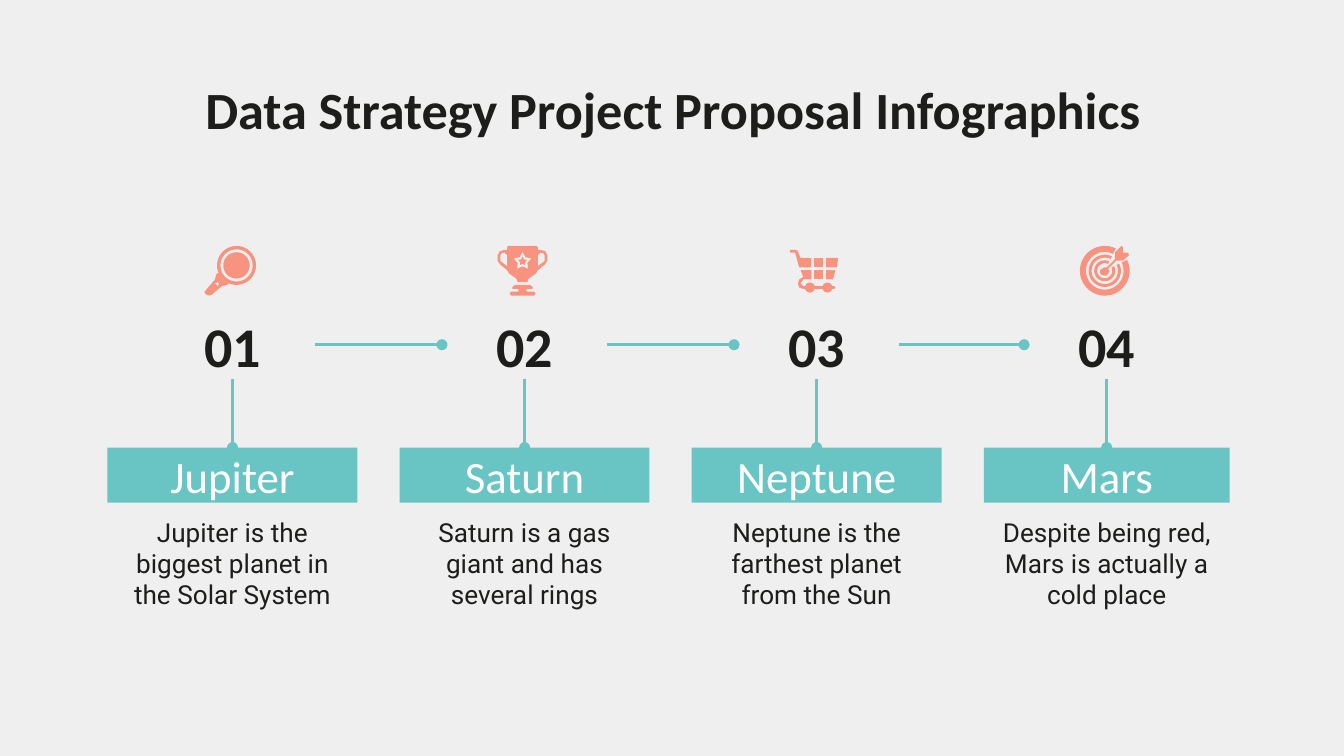
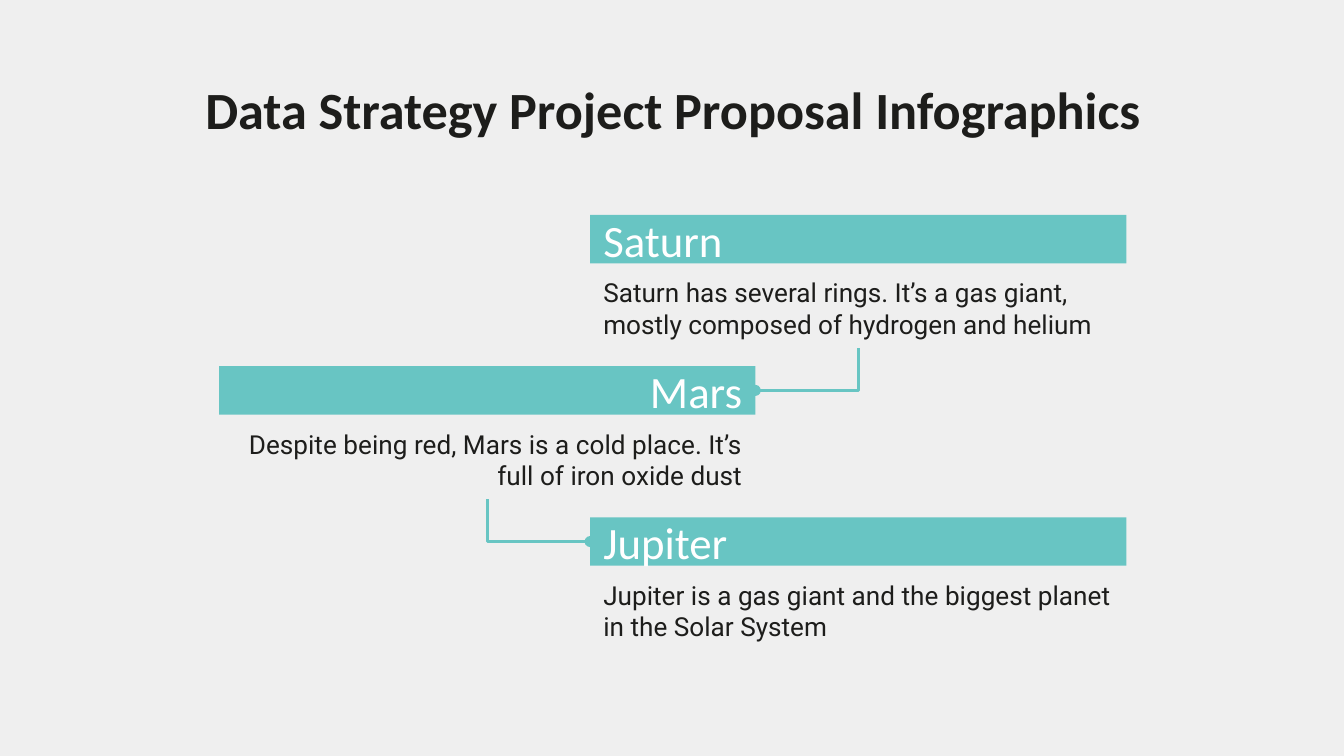
from math import cos, sin, radians

from lxml.etree import SubElement
from pptx import Presentation
from pptx.dml.color import RGBColor
from pptx.enum.shapes import MSO_CONNECTOR, MSO_SHAPE
from pptx.enum.text import MSO_ANCHOR, PP_ALIGN
from pptx.oxml.ns import qn
from pptx.util import Inches, Pt

# Content
TITLE = "Data Strategy Project Proposal Infographics"
STEPS = [
    ("Jupiter", "Jupiter is the biggest planet in the Solar System", "lens"),
    ("Saturn", "Saturn is a gas giant and has several rings", "cup"),
    ("Neptune", "Neptune is the farthest planet from the Sun", "cart"),
    ("Mars", "Despite being red, Mars is actually a cold place", "target"),
]
ROWS = [
    ("Saturn", "Saturn has several rings. It’s a gas giant, "
     "mostly composed of hydrogen and helium", "right"),
    ("Mars", "Despite being red, Mars is a cold place. "
     "It’s full of iron oxide dust", "left"),
    ("Jupiter", "Jupiter is a gas giant and the biggest planet "
     "in the Solar System", "right"),
]

# Shared look
WIDE = 10
HIGH = WIDE * 9 / 16
PAPER, INK, TEAL, CORAL, WHITE = "EFEFEF", "1D1D1B", "68C5C3", "F7937F", "FFFFFF"
HEAD, BODY = "Calibri", "Roboto"
LEFT, MID, RIGHT = PP_ALIGN.LEFT, PP_ALIGN.CENTER, PP_ALIGN.RIGHT

# Grid of the steps slide
COL_X, LAST_X, COL_W, LAST_W = 0.8, 7.32, 1.86, 1.83
COL_STEP = (LAST_X - COL_X) / (len(STEPS) - 1)
ICON_Y, NUM_Y, BAND_Y = 1.83, 2.31, 3.33
NUM_W, NUM_H, BAND_H, NOTE_H = 1.23, 0.51, 0.41, 0.76

# Grid of the rows slide
ROW_Y, LAST_Y, ROW_W, ROW_H, TEXT_H = 1.6, 3.85, 3.99, 0.36, 0.63
ROW_STEP = (LAST_Y - ROW_Y) / (len(ROWS) - 1)
SIDES = {"left": (1.63, RIGHT), "right": (4.39, LEFT)}


# Icon outlines, in hundredths of an inch
def ring(x, y, r, n=40, dip=None):
    """Points round a centre; every second one at radius dip for a star."""
    radii = (r, r if dip is None else dip)
    turns = [radians(360 * i / n - 90) for i in range(n)]
    return [(x + radii[i % 2] * cos(a), y + radii[i % 2] * sin(a))
            for i, a in enumerate(turns)]


def arc(x, y, out, inn, start=-26, end=296, n=40):
    """An open band between two radii."""
    turns = [radians(start + (end - start) * i / n) for i in range(n + 1)]
    return ([(x + out * cos(a), y + out * sin(a)) for a in turns]
            + [(x + inn * cos(a), y + inn * sin(a)) for a in reversed(turns)])


def flip(half):
    return [(37 - x, y) for x, y in half]


def whole(half):
    return half + flip(half)[::-1]


def box(x, y, w, h):
    return [(x, y), (x + w, y), (x + w, y + h), (x, y + h)]


GRIP = [(5, 5), (7, 7), (7, 15), (3, 12), (2, 11), (2, 7), (3, 5.5)]
# Each icon is a list of parts; each part an outline followed by its holes
ICONS = {
    "lens": [
        [ring(23, 14.5, 14.5), ring(23, 14.5, 12)],
        [ring(23, 14.5, 9.8)],
        [[(10, 20), (8, 21), (7, 25), (1, 32), (-1, 34.5), (1, 36.5), (3, 37),
          (5, 36), (12, 30), (16, 29), (17.5, 28), (13, 25)],
         [(9, 27), (10, 28), (9, 30), (7, 28)]],
    ],
    "cup": [
        [whole([(8, 0), (7, 1), (7, 3), (5, 3), (1.5, 4), (0, 7), (0, 11), (2, 14),
                (7, 18), (8.5, 20.5), (12, 23), (14, 24.5), (15, 27)]),
         GRIP, flip(GRIP), ring(18.5, 11.5, 7, 10, 3.8)],
        [ring(18.5, 11.5, 3.6, 10, 1.8)],
        [whole([(13, 29), (11, 30.5), (11, 32), (15, 32), (16, 33), (15, 34),
                (10, 34), (9, 35), (9, 36), (10, 37)])],
    ],
    "cart": [
        [box(18, 9, 7, 7)],
        [box(18, 18, 7, 7)],
        [[(27, 9), (36, 9), (35, 16), (27, 16)]],
        [[(27, 18), (34, 18), (32, 25), (27, 25)]],
        [[(0, 3), (5, 3), (6, 4), (8, 9), (16, 9), (16, 16), (7, 16),
          (4, 5), (0, 5)]],
        [[(8, 18), (16, 18), (16, 25), (10, 25), (8, 28), (10, 30), (33, 30),
          (34, 31), (33, 32), (10, 32), (7, 31), (6, 28), (7, 25), (10, 23)]],
        [ring(15, 31, 3.7)],
        [ring(28, 31, 3.7)],
    ],
    "target": [
        [arc(18.5, 18.5, 18.5, 14)],
        [arc(18.5, 18.5, 12, 9.8)],
        [arc(18.5, 18.5, 7.8, 5.6)],
        [[(31, 0), (26, 5), (26, 10), (20, 16), (18, 16), (15, 18), (15, 20),
          (16, 21.5), (18, 22), (20, 22), (22, 19), (21, 17), (27, 11), (32, 11),
          (36.5, 7), (36, 5), (32, 5), (32, 1)]],
    ],
}


# Helpers
def hue(code):
    return RGBColor.from_string(code)


def write(shape, text, size, font, color, align, bold=False, anchor=MSO_ANCHOR.MIDDLE):
    frame = shape.text_frame
    frame.word_wrap = True
    frame.vertical_anchor = anchor
    frame.margin_left = frame.margin_right = Inches(0.1)
    frame.margin_top = frame.margin_bottom = Inches(0.1)
    frame.text = text
    para = frame.paragraphs[0]
    para.alignment = align
    face = para.runs[0].font
    face.size, face.name, face.bold = Pt(size), font, bold
    face.color.rgb = hue(color)
    return shape


def label(slide, area, *style, **more):
    spot = slide.shapes.add_textbox(*map(Inches, area))
    return write(spot, *style, **more)


def paint(shape, color):
    shape.shadow.inherit = False
    shape.fill.solid()
    shape.fill.fore_color.rgb = hue(color)
    shape.line.fill.background()


def card(slide, x, y, w, high, deep, name, note, align):
    """A teal band with its note below."""
    band = slide.shapes.add_shape(MSO_SHAPE.RECTANGLE, *map(Inches, (x, y, w, high)))
    paint(band, TEAL)
    write(band, name, 24, HEAD, WHITE, align)
    label(slide, (x, y + high, w, deep), note, 14, BODY, INK, align,
          anchor=MSO_ANCHOR.TOP)
    return band


def icon(slide, x, y, parts):
    for first, *holes in parts:
        fine = [[(px * 100, py * 100) for px, py in line] for line in (first, *holes)]
        pen = slide.shapes.build_freeform(*fine[0][0], scale=91.44)
        pen.add_line_segments(fine[0][1:])
        for hole in fine[1:]:
            pen.move_to(*hole[0])
            pen.add_line_segments(hole[1:])
        paint(pen.convert_to_shape(Inches(x), Inches(y)), CORAL)


def wire(slide, kind=MSO_CONNECTOR.STRAIGHT):
    """A teal connector that ends in a dot."""
    link = slide.shapes.add_connector(kind, 0, 0, 0, 0)
    link.line.color.rgb = hue(TEAL)
    link.line.width = Pt(1.5)
    SubElement(link._element.spPr.find(qn("a:ln")), qn("a:tailEnd"), type="oval")
    SubElement(link._element.spPr, qn("a:effectLst"))
    return link


def join(slide, start, side, end, goal):
    link = wire(slide)
    link.begin_connect(start, side)
    link.end_connect(end, goal)


def bend(slide, x1, y1, x2, y2):
    """Go down from the start, then sideways to the end."""
    link = wire(slide, MSO_CONNECTOR.ELBOW)
    w, h = abs(x2 - x1), y2 - y1
    # The frame is stored before its quarter turn, so its sides swap
    link.left, link.top = Inches((x1 + x2 - h) / 2), Inches((y1 + y2 - w) / 2)
    link.width, link.height = Inches(h), Inches(w)
    link._element.spPr.find(qn("a:prstGeom")).set("prst", "bentConnector2")
    frame = link._element.spPr.find(qn("a:xfrm"))
    frame.set("rot", str((90 if x2 < x1 else 270) * 60000))
    if x2 > x1:
        frame.set("flipH", "1")


def page(deck):
    slide = deck.slides.add_slide(deck.slide_layouts[6])
    slide.background.fill.solid()
    slide.background.fill.fore_color.rgb = hue(PAPER)
    label(slide, (0.79, 0.49, 8.43, 0.63), TITLE, 28, HEAD, INK, MID, bold=True)
    return slide


# Slides
def steps(deck):
    slide = page(deck)
    last = None
    for i, (name, note, sign) in enumerate(STEPS):
        x = COL_X + i * COL_STEP
        w = LAST_W if i == len(STEPS) - 1 else COL_W
        mid = x + w / 2
        band = card(slide, x, BAND_Y, w, BAND_H, NOTE_H, name, note, MID)
        num = label(slide, (mid - NUM_W / 2, NUM_Y, NUM_W, NUM_H), f"{i + 1:02}",
                    30, HEAD, INK, MID, bold=True)
        icon(slide, mid - 0.2, ICON_Y, ICONS[sign])
        join(slide, num, 2, band, 0)
        if last:
            join(slide, last, 3, num, 1)
        last = num


def rows(deck):
    slide = page(deck)
    for i, (name, note, side) in enumerate(ROWS):
        x, align = SIDES[side]
        y = ROW_Y + i * ROW_STEP
        card(slide, x, y, ROW_W, ROW_H, TEXT_H, name, note, align)
        if i:
            from_x = SIDES[ROWS[i - 1][2]][0] + ROW_W / 2
            to_x = x + ROW_W if side == "left" else x
            bend(slide, from_x, y - ROW_STEP + ROW_H + TEXT_H, to_x, y + ROW_H / 2)


def main():
    deck = Presentation()
    deck.slide_width, deck.slide_height = Inches(WIDE), Inches(HIGH)
    steps(deck)
    rows(deck)
    deck.save("out.pptx")


if __name__ == "__main__":
    main()
